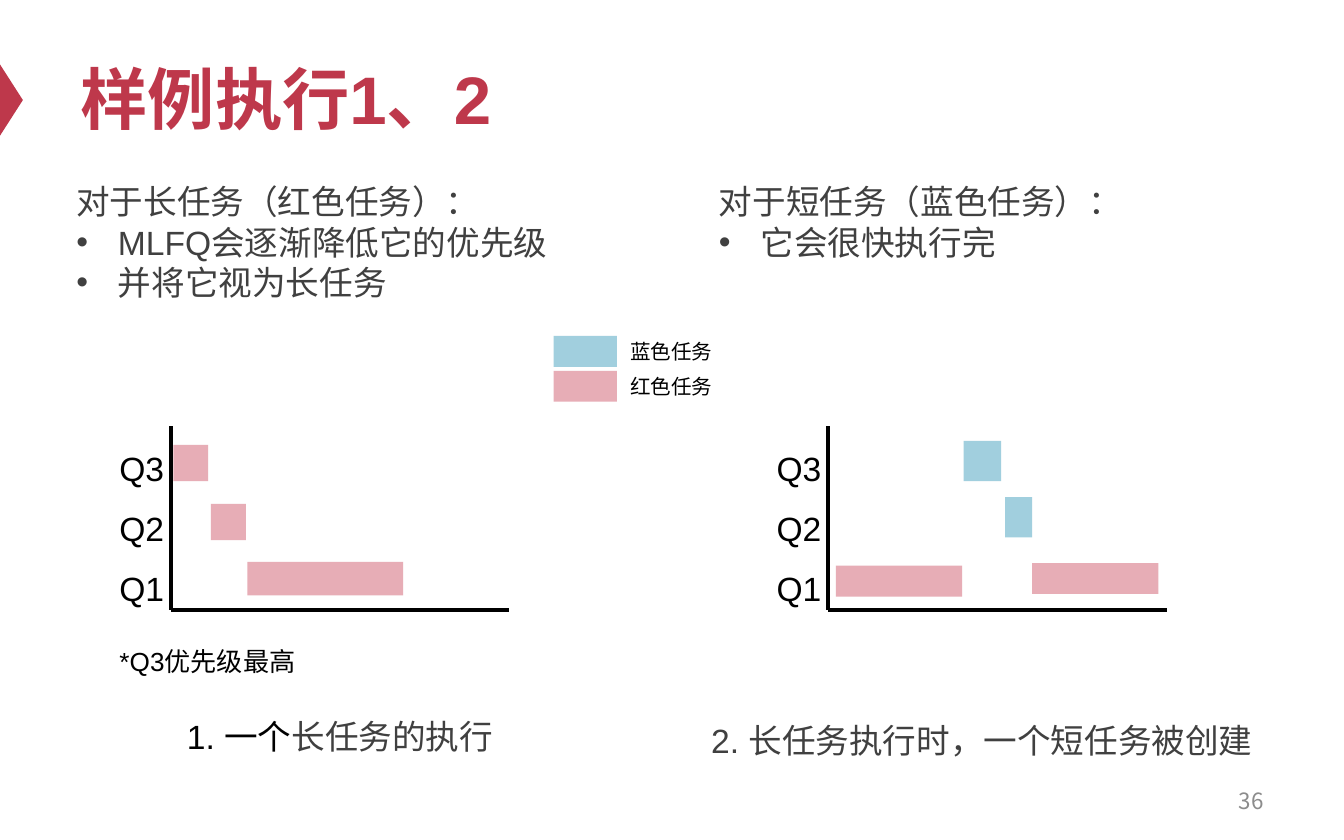
from lxml import etree
from pptx import Presentation
from pptx import util as u
from pptx.dml.color import RGBColor
from pptx.enum import shapes, text
from pptx.oxml import ns

COLUMNS = 100
ROWS = 62.5
CELL = u.Inches(0.1)
RED, PINK, BLUE = "BE384B", "E7ADB6", "A1CFDE"
BLACK, DARK, GRAY = "000000", "404040", "8C8C8C"


def cells(*counts):
    return [u.Emu(round(count * CELL)) for count in counts]


def paint(target, color):
    target.rgb = RGBColor.from_string(color)


def style(font, size, color, name="Arial"):
    font.name = name
    font.size = u.Pt(size)
    paint(font.color, color)


def add_bullet(para):
    properties = para._p.get_or_add_pPr()
    properties.set("marL", str(u.Inches(0.31)))
    properties.set("indent", str(-u.Inches(0.31)))
    etree.SubElement(properties, ns.qn("a:buFont"), typeface="Arial")
    etree.SubElement(properties, ns.qn("a:buChar"), char="•")


def add_text(page, area, lines, size, color, bullets=False, spacing=None,
             align=None, wrap=True, name="Arial"):
    box = page.shapes.add_textbox(*cells(*area))
    frame = box.text_frame
    frame.word_wrap = wrap
    for index, line in enumerate(lines):
        para = frame.add_paragraph() if index else frame.paragraphs[0]
        if bullets and index:
            add_bullet(para)
        if spacing:
            para.line_spacing = spacing
        if align:
            para.alignment = align
        para.add_run().text = line
        style(para.font, size, color, name)
    return frame


def add_block(page, area, color, kind=shapes.MSO_SHAPE.RECTANGLE):
    block = page.shapes.add_shape(kind, *cells(*area))
    block.shadow.inherit = False
    block.fill.solid()
    paint(block.fill.fore_color, color)
    block.line.fill.background()
    return block


def add_axis(page, start, end):
    axis = page.shapes.add_connector(shapes.MSO_CONNECTOR.STRAIGHT, *cells(*start, *end))
    axis.line.width = u.Pt(2)
    paint(axis.line.color, BLACK)
    etree.SubElement(axis._element.spPr, ns.qn("a:effectLst"))


def header(page, left, top, width, height):
    marker = add_block(page, (-1.8, top + 4.5, 5.3, 1.7), RED,
                       shapes.MSO_SHAPE.ISOSCELES_TRIANGLE)
    marker.rotation = 90
    title = page.shapes.title
    title.left, title.top, title.width, title.height = cells(left, top, width, height)
    title.text_frame.text = "样例执行1、2"
    title.text_frame.vertical_anchor = text.MSO_ANCHOR.MIDDLE
    para = title.text_frame.paragraphs[0]
    para.alignment = text.PP_ALIGN.LEFT
    style(para.font, 36, RED)
    para.font.bold = True


def queue_chart(page, left, top, width, height, bars):
    add_text(page, (left - 4.8, top - 0.4, 6, height + 0.4), ["Q3", "Q2", "Q1"],
             18, BLACK, spacing=1.5)
    corner = (left, top + height)
    add_axis(page, (left, top), corner)
    add_axis(page, corner, (left + width, top + height))
    for x, y, length, thickness, color in bars:
        add_block(page, (left + x, top + y, length, thickness), color)


def legend(page, left, top, width, row_height):
    for index, (label, color) in enumerate([("蓝色任务", BLUE), ("红色任务", PINK)]):
        row = top + index * row_height
        add_block(page, (left, row, width, 2.3), color)
        add_text(page, (left + width, row - 0.25, 8.2, 2.9), [label], 11, BLACK, wrap=False)


def caption(page, area, line, color=DARK):
    frame = add_text(page, area, [line], 18, color, spacing=1.2,
                     align=text.PP_ALIGN.CENTER)
    return frame.paragraphs[0]


def footer(page, left, top, width, height):
    frame = add_text(page, (left, top, width, height), ["36"], 12, GRAY,
                     align=text.PP_ALIGN.RIGHT, name="Noto Sans CJK SC")
    frame.vertical_anchor = text.MSO_ANCHOR.MIDDLE


def main():
    deck = Presentation()
    deck.slide_width, deck.slide_height = cells(COLUMNS, ROWS)
    page = deck.slides.add_slide(deck.slide_layouts[5])

    header(page, 5, 2.1, 90, 10.4)
    add_text(page, (4.7, 13, 38.3, 10.1),
             ["对于长任务（红色任务）：", "MLFQ会逐渐降低它的优先级", "并将它视为长任务"],
             18, DARK, bullets=True)
    add_text(page, (52.5, 13, 47.5, 7.1),
             ["对于短任务（蓝色任务）：", "它会很快执行完"], 18, DARK, bullets=True)
    legend(page, 41.2, 25, 4.7, 2.6)

    queue_chart(page, 12.7, 31.7, 25.2, 13.7, [
        (0.2, 1.4, 2.6, 2.7, PINK),
        (3, 5.8, 2.6, 2.7, PINK),
        (5.7, 10.1, 11.6, 2.5, PINK),
    ])
    queue_chart(page, 61.6, 31.7, 25.2, 13.7, [
        (10.1, 1.1, 2.8, 3, BLUE),
        (13.2, 5.3, 2, 3, BLUE),
        (0.6, 10.4, 9.4, 2.3, PINK),
        (15.2, 10.2, 9.4, 2.3, PINK),
    ])

    add_text(page, (7.9, 47.5, 26.8, 3.4), ["*Q3优先级最高"], 14, BLACK)
    para = caption(page, (10.1, 52.2, 30.4, 7), "1. 一个", BLACK)
    span = para.add_run()
    span.text = "长任务的执行"
    paint(span.font.color, DARK)
    caption(page, (51.4, 52.5, 43.3, 7), "2. 长任务执行时，一个短任务被创建")
    footer(page, 71.7, 57.9, 23.3, 3.3)

    deck.save("out.pptx")


if __name__ == "__main__":
    main()
